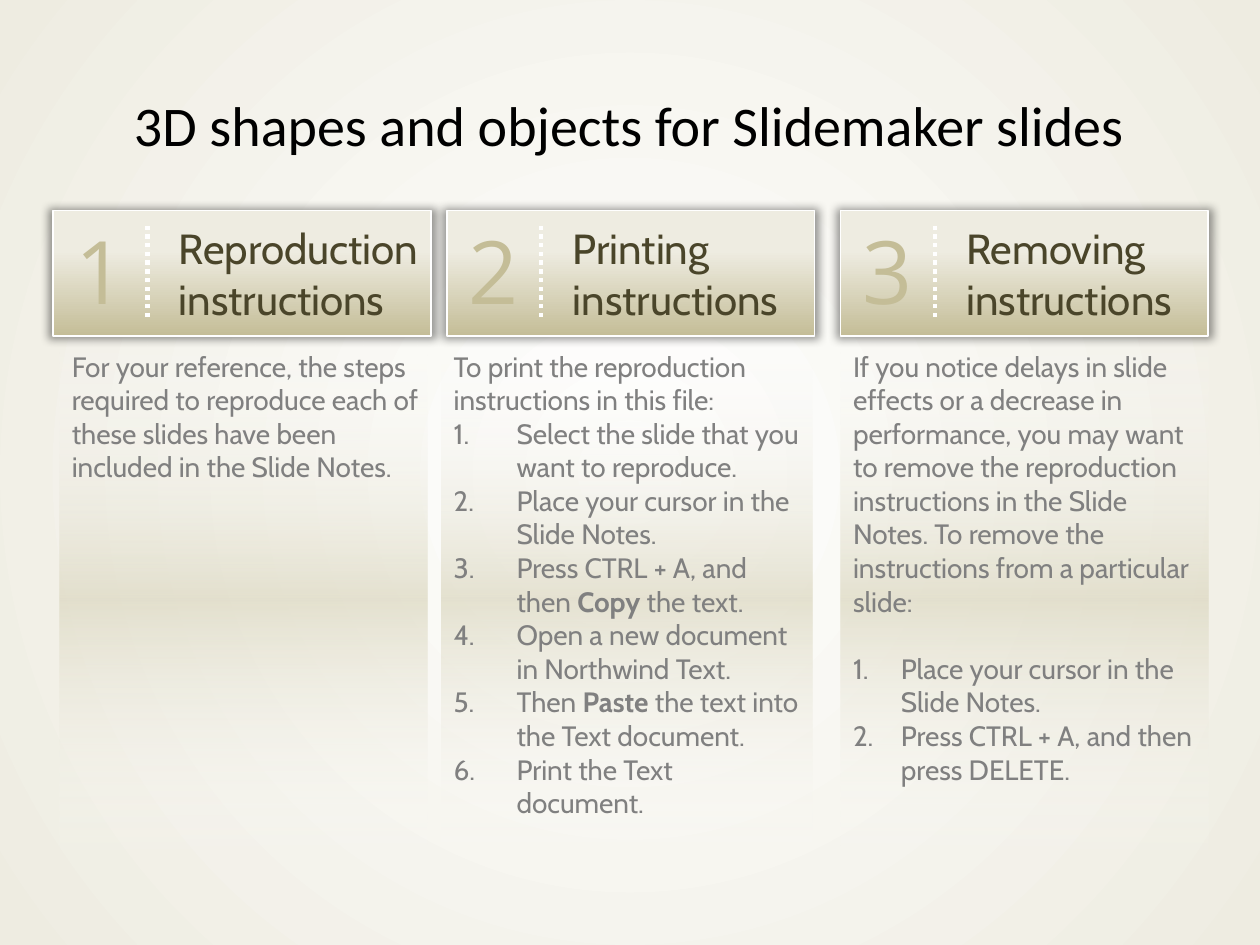
from lxml.etree import SubElement, fromstring
from pptx import Presentation
from pptx.dml.color import RGBColor
from pptx.enum.dml import MSO_LINE
from pptx.enum.shapes import MSO_CONNECTOR, MSO_SHAPE
from pptx.enum.text import MSO_ANCHOR, MSO_AUTO_SIZE, PP_ALIGN
from pptx.oxml.ns import nsdecls, qn
from pptx.util import Inches, Pt

COLORS = {
    "white": "FFFFFF", "cream": "EEECE1", "sand": "DDD9C3", "khaki": "C4BD97",
    "olive": "4A452A", "gray": "808080", "black": "000000",
}
DOWN = '<a:lin ang="5400000" scaled="0"/>'
ROUND = ('<a:path path="circle"><a:fillToRect l="50000" t="50000" '
         'r="50000" b="50000"/></a:path>')
# Gradient stops: position, color, opacity
PAGE = [(0, "white", 100), (100, "cream", 100)]
BAND = [(32, "cream", 100), (100, "khaki", 100)]
FADE = [(0, "white", 0), (50, "sand", 75), (100, "white", 0)]

TITLE = {"size": 32, "name": "Calibri", "color": "black"}
HEAD = {"size": 24, "name": "Cabin", "color": "olive"}
DIGIT = {"size": 50, "name": "Open Sans", "color": "khaki"}
BODY = {"size": 16, "name": "Cabin", "color": "gray"}

# Each column: heading, its width, body left and width, right inset,
# list indent, gap above the list, intro, steps
COLUMNS = [
    {"head": "Reproduction instructions", "wide": 3, "body": (0.47, 2.92),
     "inset": 0, "indent": 0, "gap": 0,
     "intro": "For your reference, the steps required to reproduce each of "
              "these slides have been included in the Slide Notes.",
     "steps": []},
    {"head": "Printing instructions", "wide": 2.92, "body": (3.5, 2.95),
     "inset": 0.1, "indent": 0.5, "gap": 0,
     "intro": "To print the reproduction instructions in this file:",
     "steps": ["Select the slide that you want to reproduce.",
               "Place your cursor in the Slide Notes.",
               "Press CTRL + A, and then **Copy** the text.",
               "Open a new document in Northwind Text.",
               "Then **Paste** the text into the Text document.",
               "Print the Text document."]},
    {"head": "Removing instructions", "wide": 2.92, "body": (6.67, 2.92),
     "inset": 0.1, "indent": 0.38, "gap": 19.2,
     "intro": "If you notice delays in slide effects or a decrease in "
              "performance, you may want to remove the reproduction "
              "instructions in the Slide Notes. To remove the instructions "
              "from a particular slide:",
     "steps": ["Place your cursor in the Slide Notes.",
               "Press CTRL + A, and then press DELETE."]},
]


def tint(name):
    return RGBColor.from_string(COLORS[name])


def blend(fill, root, stops, way):
    """Give a fill its gradient."""
    fill.solid()
    marks = "".join(
        f'<a:gs pos="{pos * 1000}"><a:srgbClr val="{COLORS[name]}">'
        f'<a:alpha val="{alpha * 1000}"/></a:srgbClr></a:gs>'
        for pos, name, alpha in stops)
    grad = fromstring(f'<a:gradFill {nsdecls("a")} rotWithShape="1">'
                      f'<a:gsLst>{marks}</a:gsLst>{way}</a:gradFill>')
    old = next(root.iter(qn("a:solidFill")))
    old.getparent().replace(old, grad)


def place(shape, left, top, width, height):
    box = {"left": left, "top": top, "width": width, "height": height}
    for key, value in box.items():
        setattr(shape, key, Inches(value))


def frame(shape, left=0.1, top=0.05, right=0.1, anchor=MSO_ANCHOR.TOP):
    """Set margins, wrap and anchor; return the text frame."""
    text = shape.text_frame
    form = {"margin_left": Inches(left), "margin_top": Inches(top),
            "margin_right": Inches(right), "margin_bottom": Inches(0.05),
            "word_wrap": True, "auto_size": MSO_AUTO_SIZE.NONE,
            "vertical_anchor": anchor}
    for key, value in form.items():
        setattr(text, key, value)
    return text


def write(para, words, style, align=PP_ALIGN.LEFT, gap=0):
    """Fill a paragraph; words between ** are bold."""
    para.alignment = align
    para.space_before = Pt(gap)
    for i, part in enumerate(words.split("**")):
        run = para.add_run()
        run.text = part
        form = {"size": Pt(style["size"]), "name": style["name"],
                "bold": i % 2 == 1}
        for key, value in form.items():
            setattr(run.font, key, value)
        run.font.color.rgb = tint(style["color"])


def mark(para, indent=0):
    """Number a paragraph, or clear its bullet when there is no indent."""
    props = para._p.get_or_add_pPr()
    props.set("marL", str(Inches(indent)))
    props.set("indent", str(-Inches(indent)))
    if indent:
        SubElement(props, qn("a:buAutoNum"), type="arabicPeriod")
    else:
        SubElement(props, qn("a:buNone"))


def add_title(slide, words):
    title = slide.shapes.title
    place(title, 0.83, 0.67, 8.33, 0.64)
    write(frame(title).paragraphs[0], words, TITLE, PP_ALIGN.CENTER)


def add_body(shape, col):
    left, width = col["body"]
    place(shape, left, 2.67, width, 4.17)
    blend(shape.fill, shape._element.spPr, FADE, DOWN)
    text = frame(shape, top=0.1, right=col["inset"])
    intro = text.paragraphs[0]
    mark(intro)
    write(intro, col["intro"], BODY)
    for i, step in enumerate(col["steps"]):
        para = text.add_paragraph()
        mark(para, col["indent"])
        write(para, step, BODY, gap=0 if i else col["gap"])


def add_head(slide, num, left, col):
    # Banner with a soft halo
    box = slide.shapes.add_shape(MSO_SHAPE.RECTANGLE, Inches(left),
                                 Inches(1.67), Inches(col["wide"]), Inches(1))
    blend(box.fill, box._element.spPr, BAND, DOWN)
    box.line.color.rgb = tint("white")
    box.line.width = Pt(1)
    box.shadow.inherit = False
    halo = box._element.spPr.find(qn("a:effectLst"))
    halo.append(fromstring(
        f'<a:outerShdw {nsdecls("a")} blurRad="63500" sx="102000" sy="102000" '
        'algn="ctr" rotWithShape="0"><a:srgbClr val="000000">'
        '<a:alpha val="40000"/></a:srgbClr></a:outerShdw>'))
    text = frame(box, left=1, anchor=MSO_ANCHOR.MIDDLE)
    write(text.paragraphs[0], col["head"], HEAD)

    # Large number
    digit = slide.shapes.add_textbox(Inches(left), Inches(1.67),
                                     Inches(0.75), Inches(0.94))
    write(frame(digit).paragraphs[0], str(num), DIGIT, PP_ALIGN.CENTER)

    # Dotted divider
    x = Inches(left + 0.75)
    rule = slide.shapes.add_connector(MSO_CONNECTOR.STRAIGHT, x, Inches(1.79),
                                      x, Inches(2.54))
    rule.line.color.rgb = tint("white")
    rule.line.width = Pt(2.5)
    rule.line.dash_style = MSO_LINE.ROUND_DOT
    SubElement(rule._element.spPr, qn("a:effectLst"))


def main():
    deck = Presentation()
    deck.slide_width, deck.slide_height = Inches(10), Inches(7.5)
    slide = deck.slides.add_slide(deck.slide_layouts.get_by_name("Comparison"))
    blend(slide.background.fill, slide._element, PAGE, ROUND)
    add_title(slide, "3D shapes and objects for Slidemaker slides")

    # Three columns in the body placeholders
    slots = [s for s in slide.placeholders if 1 <= s.placeholder_format.idx <= 3]
    for i, (slot, col) in enumerate(zip(slots, COLUMNS)):
        add_body(slot, col)
        add_head(slide, i + 1, 0.42 + 3.125 * i, col)

    # Unused placeholders
    for spare in list(slide.placeholders):
        if not spare.text_frame.text:
            spare._element.getparent().remove(spare._element)
    deck.save("out.pptx")


main()
